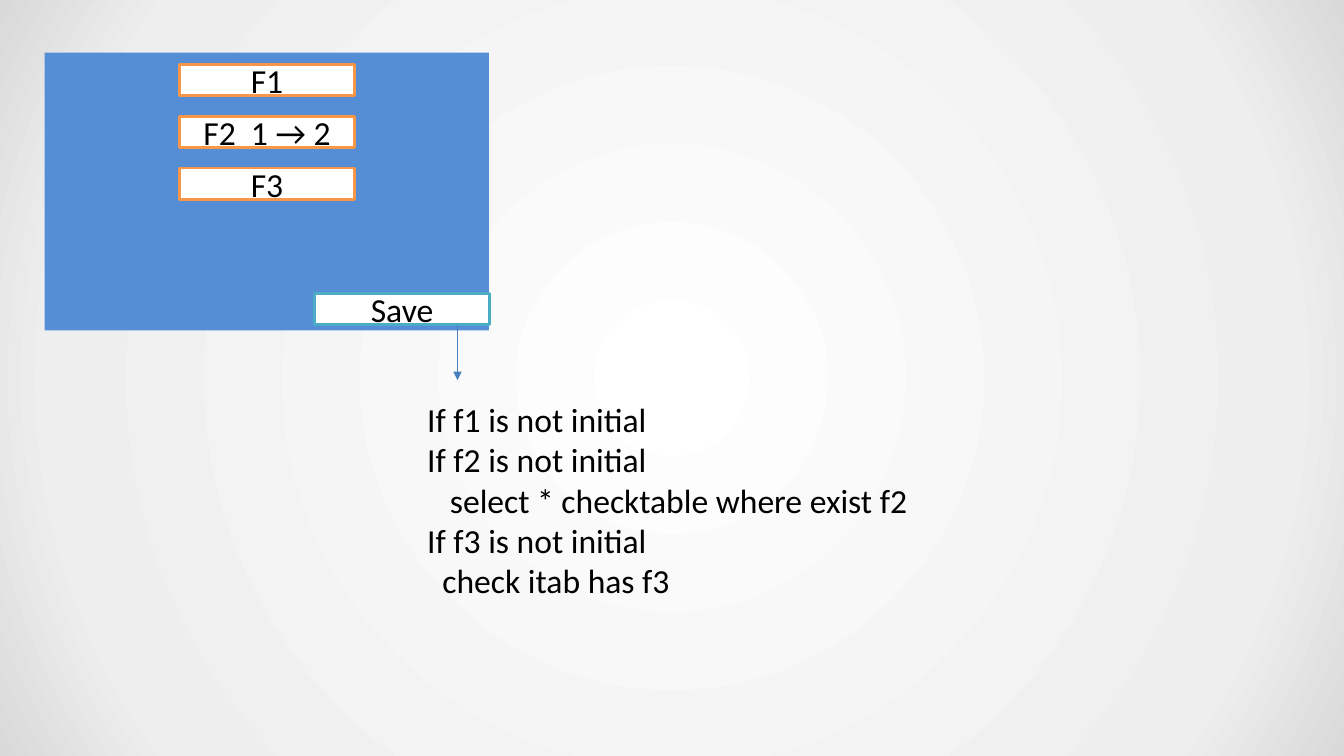
from dataclasses import dataclass

from lxml import etree
from pptx import Presentation
from pptx.dml.color import RGBColor
from pptx.enum.shapes import MSO_CONNECTOR, MSO_SHAPE
from pptx.enum.text import MSO_ANCHOR, MSO_AUTO_SIZE, PP_ALIGN
from pptx.oxml.ns import qn
from pptx.slide import Slide
from pptx.text.text import TextFrame
from pptx.util import Pt

RECT = MSO_SHAPE.RECTANGLE
STRAIGHT = MSO_CONNECTOR.STRAIGHT
MIDDLE = MSO_ANCHOR.MIDDLE
GROW = MSO_AUTO_SIZE.SHAPE_TO_FIT_TEXT
LEFT, CENTER = PP_ALIGN.LEFT, PP_ALIGN.CENTER

COLORS = {
    "panel": "558ED5",
    "white": "FFFFFF",
    "field": "F79646",
    "save": "4BACC6",
    "arrow": "4B7EBC",
    "text": "000000",
}
GLOW = ((0, "FFFFFF"), (81, "EEEEEE"), (100, "D9D9D9"))
CODE = (
    "If f1 is not initial",
    "If f2 is not initial",
    "   select * checktable where exist f2",
    "If f3 is not initial",
    "  check itab has f3",
)


@dataclass
class Box:
    left: float
    top: float
    width: float
    height: float
    fill: str
    line: str = ""
    label: str = ""


def color(name: str) -> RGBColor:
    return RGBColor.from_string(COLORS[name])


def write(frame: TextFrame, lines: tuple[str, ...], align: PP_ALIGN) -> None:
    frame.word_wrap = True
    frame.text = "\n".join(lines)
    for para in frame.paragraphs:
        para.alignment = align
        para.font.name = "Calibri"
        para.font.size = Pt(24)
        para.font.color.rgb = color("text")


def draw_box(slide: Slide, box: Box) -> None:
    shape = slide.shapes.add_shape(
        RECT, Pt(box.left), Pt(box.top), Pt(box.width), Pt(box.height))
    shape.shadow.inherit = False
    shape.fill.solid()
    shape.fill.fore_color.rgb = color(box.fill)
    if box.line:
        shape.line.color.rgb = color(box.line)
        shape.line.width = Pt(2)
    else:
        shape.line.fill.background()
    if box.label:
        shape.text_frame.vertical_anchor = MIDDLE
        write(shape.text_frame, (box.label,), CENTER)


def draw_arrow(slide: Slide, x: float, top: float, end: float) -> None:
    arrow = slide.shapes.add_connector(STRAIGHT, Pt(x), Pt(top), Pt(x), Pt(end))
    arrow.line.color.rgb = color("arrow")
    arrow.line.width = Pt(0.75)
    line = arrow.line._get_or_add_ln()
    etree.SubElement(line, qn("a:tailEnd"), type="triangle")
    etree.SubElement(arrow._element.spPr, qn("a:effectLst"))


def draw_code(slide: Slide) -> None:
    area = slide.shapes.add_textbox(Pt(298), Pt(281.5), Pt(408), Pt(153))
    write(area.text_frame, CODE, LEFT)
    area.text_frame.auto_size = GROW


def paint_back(slide: Slide) -> None:
    """Fill the background with a circular gradient from the centre."""
    slide.background.fill.gradient()
    grad = slide._element.find(".//" + qn("a:gradFill"))
    for child in list(grad):
        grad.remove(child)
    stops = etree.SubElement(grad, qn("a:gsLst"))
    for place, value in GLOW:
        stop = etree.SubElement(stops, qn("a:gs"), pos=str(place * 1000))
        etree.SubElement(stop, qn("a:srgbClr"), val=value)
    path = etree.SubElement(grad, qn("a:path"), path="circle")
    sides = dict.fromkeys("ltrb", "50000")
    etree.SubElement(path, qn("a:fillToRect"), sides)


def main() -> None:
    deck = Presentation()
    deck.slide_width, deck.slide_height = Pt(960), Pt(540)
    slide = deck.slides.add_slide(deck.slide_layouts[6])
    paint_back(slide)
    draw_box(slide, Box(31.8, 37.6, 317.5, 198.5, "panel"))
    for row, label in enumerate(("F1", "F2  1 → 2", "F3")):
        top = 46 + 37 * row
        draw_box(slide, Box(128.3, top, 124.8, 22.5, "white", "field", label))
    draw_box(slide, Box(224.8, 209.6, 124.8, 22.5, "white", "save", "Save"))
    draw_arrow(slide, 326.8, 232, 271.5)
    draw_code(slide)
    deck.save("out.pptx")


if __name__ == "__main__":
    main()
